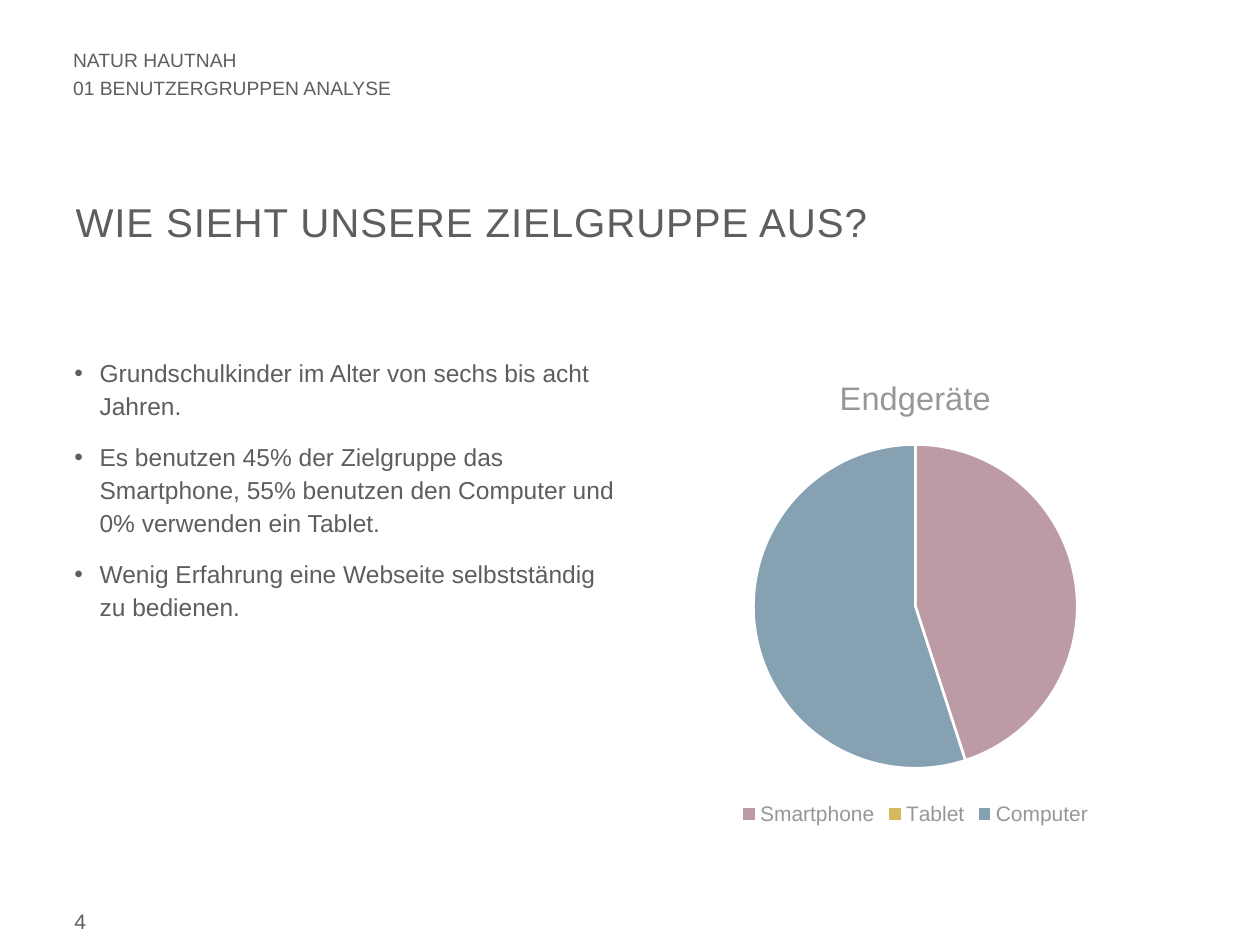
from lxml.etree import SubElement
from pptx import Presentation
from pptx.chart.data import CategoryChartData
from pptx.dml.color import RGBColor
from pptx.enum.chart import XL_CHART_TYPE, XL_LEGEND_POSITION
from pptx.enum.text import MSO_ANCHOR, MSO_AUTO_SIZE, PP_ALIGN
from pptx.oxml import parse_xml
from pptx.oxml.ns import nsdecls, qn
from pptx.util import Inches, Pt

HUES = {"text": "5E5E5D", "soft": "979795", "line": "FFFFFF",
        "rose": "BD9BA4", "gold": "D6B85F", "blue": "85A1B2"}
FRAME = {"margin_left": 0, "margin_top": 0, "margin_right": 0,
         "margin_bottom": 0, "word_wrap": True,
         "auto_size": MSO_AUTO_SIZE.NONE}
DEVICES = {"Smartphone": (45, "rose"), "Tablet": (0, "gold"),
           "Computer": (55, "blue")}
POINTS = ["Grundschulkinder im Alter von sechs bis acht Jahren.",
          "Es benutzen 45% der Zielgruppe das Smartphone, 55% benutzen "
          "den Computer und 0% verwenden ein Tablet.",
          "Wenig Erfahrung eine Webseite selbstständig zu bedienen."]


def tint(name):
    """Return a named colour."""
    return RGBColor.from_string(HUES[name])


def assign(item, values):
    """Set attributes from a dict."""
    for key, value in values.items():
        setattr(item, key, value)


def style(font, size, hue="text"):
    """Format a font."""
    assign(font, {"name": "Arial", "size": Pt(size), "bold": False})
    font.color.rgb = tint(hue)


def place(shape, box):
    """Move a shape to a box given in inches."""
    names = ("left", "top", "width", "height")
    assign(shape, dict(zip(names, map(Inches, box))))


def mark(para, bullet):
    """Give a paragraph a hanging bullet, or none."""
    props = para._p.get_or_add_pPr()
    dent = Inches(0.2) if bullet else 0
    props.set("marL", str(dent))
    props.set("indent", str(-dent))
    if bullet:
        SubElement(props, qn("a:buChar")).set("char", "•")
    else:
        SubElement(props, qn("a:buNone"))


def write(shape, box, lines, size, lead=None, after=0, bullet=False,
          anchor=MSO_ANCHOR.TOP):
    """Fill a text shape with one paragraph for each line."""
    place(shape, box)
    frame = shape.text_frame
    assign(frame, FRAME)
    frame.vertical_anchor = anchor
    frame.text = "\n".join(lines)
    for para in frame.paragraphs:
        mark(para, bullet)
        assign(para, {"alignment": PP_ALIGN.LEFT, "space_before": Pt(0),
                      "space_after": Pt(after),
                      "line_spacing": Pt(lead) if lead else None})
        style(para.runs[0].font, size)


def add_head(slide, shape, box):
    """Write the title with its running head above."""
    left, top, width = box
    write(shape, (left, top, 4.54, 0.39),
          ["NATUR HAUTNAH", "01 BENUTZERGRUPPEN ANALYSE"], 11, 16,
          anchor=MSO_ANCHOR.BOTTOM)
    title = slide.shapes.title
    write(title, (left + 0.02, top + 0.9, width, 0.65),
          ["WIE SIEHT UNSERE ZIELGRUPPE AUS?"], 23, 27,
          anchor=MSO_ANCHOR.BOTTOM)
    run = title.text_frame.paragraphs[0].runs[0]
    run.font._element.set("spc", "50")


def add_pie(slide, box):
    """Draw the device shares."""
    data = CategoryChartData()
    data.categories = list(DEVICES)
    data.add_series("Endgeräte", [share for share, _ in DEVICES.values()])
    chart = slide.shapes.add_chart(
        XL_CHART_TYPE.PIE, *map(Inches, box), data).chart
    style(chart.font, 10)
    assign(chart, {"has_title": True, "has_legend": True})
    frame = chart.chart_title.text_frame
    frame.text = "Endgeräte"
    style(frame.paragraphs[0].runs[0].font, 18.6, "soft")
    assign(chart.legend, {"position": XL_LEGEND_POSITION.BOTTOM,
                          "include_in_layout": False})
    style(chart.legend.font, 12, "soft")
    plot = chart.plots[0]
    plot.vary_by_categories = True
    for spot, (_, hue) in enumerate(DEVICES.values()):
        form = plot.series[0].points[spot].format
        form.fill.solid()
        form.fill.fore_color.rgb = tint(hue)
        form.line.color.rgb = tint("line")
        form.line.width = Pt(1.5)
    area = chart._chartSpace.chart.plotArea
    for old in area.findall(qn("c:layout")):
        area.remove(old)
    rules = {"layoutTarget": "inner", "xMode": "edge", "yMode": "edge",
             "x": 0.2, "y": 0.19, "w": 0.6, "h": 0.68}
    parts = "".join(f'<c:{key} val="{val}"/>' for key, val in rules.items())
    area.insert(0, parse_xml(
        f'<c:layout {nsdecls("c")}><c:manualLayout>{parts}'
        '</c:manualLayout></c:layout>'))


def add_foot(slide, box):
    """Write the page number."""
    write(slide.shapes.add_textbox(0, 0, 0, 0), box, ["4"], 12)


def main():
    """Build and save the deck."""
    deck = Presentation()
    assign(deck, {"slide_width": Inches(10), "slide_height": Inches(7.5)})
    slide = deck.slides.add_slide(deck.slide_layouts[3])
    body, head = slide.placeholders[1], slide.placeholders[2]
    add_foot(slide, (0.59, 7.21, 3.49, 0.2))
    add_head(slide, head, (0.58, 0.4, 8.82))
    write(body, (0.59, 2.81, 4.29, 3.78), POINTS, 14, 19, 10, True)
    add_pie(slide, (5.12, 2.81, 4.29, 3.78))
    deck.save("out.pptx")


if __name__ == "__main__":
    main()
